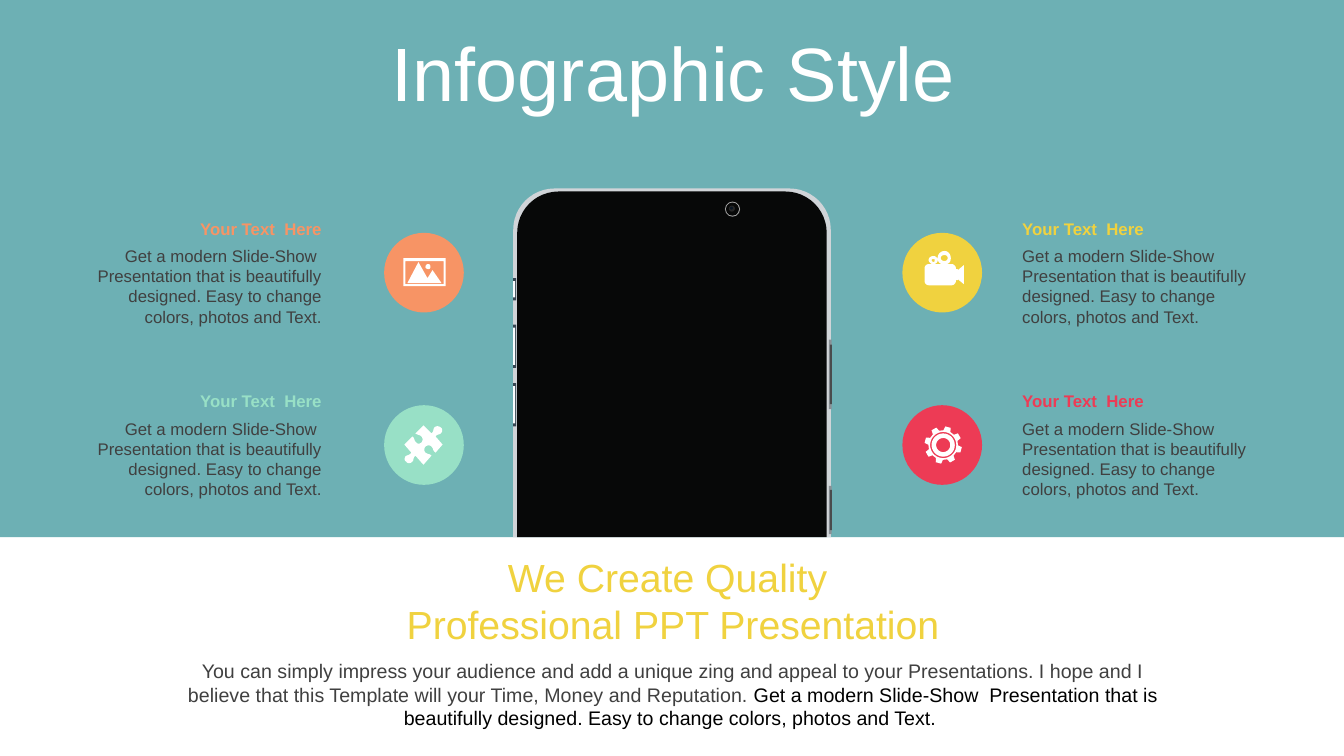
from math import cos, sin, radians

from lxml import etree
from pptx import Presentation
from pptx.dml.color import RGBColor
from pptx.enum.shapes import MSO_SHAPE as Shape
from pptx.enum.text import MSO_ANCHOR as Anchor, MSO_AUTO_SIZE as Fit, PP_ALIGN as Align
from pptx.oxml.ns import qn
from pptx.util import Inches, Pt

COLORS = {
    "teal": "1F878D", "white": "FFFFFF", "black": "000000", "text": "404040",
    "orange": "F79465", "mint": "98E0C6", "yellow": "F0D23F", "red": "ED3B55",
    "frame": "D0D4D8", "screen": "070808", "slot": "364551", "glint": "FAFDFF",
    "key": "8A9096", "key_face": "4A4C4D", "lens_rim": "A6A6A6",
    "lens": "262626", "lens_core": "081422",
}

CARD_TITLE = "Your Text  Here"
CARD_TEXT = ("Get a modern Slide-Show  Presentation that is beautifully designed. "
             "Easy to change colors, photos and Text.")

PHOTO = [
    "44 31, 45 31 46 32 46 34, 46 35 45 36 44 36, 42 36 41 35 41 34, 41 32 42 31 44 31",
    "34 29, 43 45, 48 37, 57 50, 23 50",
    "21 28, 21 51, 59 51, 59 28",
    "19 25, 61 25, 61 53, 19 53",
]
CAMERA = [
    "31 26, 30 26 29 26 29 27, 29 28 30 29 31 29, 32 29 32 28 32 27, 32 26 32 26 31 26",
    "42 22, 40 22 38 23 38 25, 38 27 40 28 42 28, 43 28 45 27 45 25, 45 23 43 22 42 22",
    "42 18, 45 18 48 21 48 25, 48 28 47 30 44 31, 49 31, 51 31 53 33 53 35, 53 36, 54 36, "
    "55 36 55 36 55 37, 61 32, 61 51, 55 46, 55 47 55 47 54 47, 53 47, 53 48, "
    "53 50 51 52 49 52, 26 52, 24 52 22 50 22 48, 22 35, 22 33 24 31 26 31, 29 31, "
    "28 30 26 29 26 27, 26 25 28 23 31 23, 33 23 35 25 35 27, 35 29 34 30 32 31, 39 31, "
    "36 30 35 28 35 25, 35 21 38 18 42 18",
]
PUZZLE = [
    "56 22, 58 23 58 26 57 27, 55 30 53 28 51 31, 58 39, 51 47, 48 45 49 43 47 41, "
    "45 39 42 40 41 41, 40 42 39 45 41 47, 44 49 45 48 47 50, 39 59, 31 50, "
    "28 53 30 54 28 56, 26 58 23 58 22 56, 20 55 20 53 21 51, 23 49 25 50 27 47, "
    "20 39, 28 31, 31 33 29 35 32 37, 33 39 36 38 37 37, 38 36 39 33 37 31, "
    "35 29 34 30 31 28, 39 20, 47 28, 50 25 48 24 50 22, 52 20 55 21 56 22",
]


def color(name):
    return RGBColor.from_string(COLORS[name])


def paint(shape, fill):
    shape.shadow.inherit = False
    shape.fill.solid()
    shape.fill.fore_color.rgb = color(fill)
    shape.line.fill.background()
    return shape


def add_part(page, kind, left, top, width, height, fill):
    shape = page.shapes.add_shape(kind, Inches(left), Inches(top), Inches(width), Inches(height))
    return paint(shape, fill)


def add_text(page, left, top, width, height, paragraphs, size, align,
             bold=False, anchor=Anchor.TOP, fit=Fit.SHAPE_TO_FIT_TEXT):
    box = page.shapes.add_textbox(Inches(left), Inches(top), Inches(width), Inches(height))
    frame = box.text_frame
    frame.word_wrap = True
    frame.auto_size = fit
    frame.vertical_anchor = anchor
    for index, spans in enumerate(paragraphs):
        para = frame.add_paragraph() if index else frame.paragraphs[0]
        para.alignment = align
        para.font.name = "Arial"
        para.font.size = Pt(size)
        para.font.bold = bold
        for words, tone in spans:
            span = para.add_run()
            span.text = words
            span.font.color.rgb = color(tone)
    return frame


def flatten(outline, steps=8):
    points = []
    for segment in outline.split(","):
        numbers = [int(number) for number in segment.split()]
        if len(numbers) == 2:
            points.append(tuple(numbers))
            continue
        x0, y0 = points[-1]
        x1, y1, x2, y2, x3, y3 = numbers
        for step in range(1, steps + 1):
            t = step / steps
            a, b, c, d = (1 - t) ** 3, 3 * t * (1 - t) ** 2, 3 * t * t * (1 - t), t ** 3
            points.append((a * x0 + b * x1 + c * x2 + d * x3,
                           a * y0 + b * y1 + c * y2 + d * y3))
    return points


def polar(radius, angle, center=(40.5, 39.5)):
    turn = radians(angle)
    return center[0] + radius * cos(turn), center[1] + radius * sin(turn)


def gear_contours():
    teeth = [polar(radius, 15 + 45 * tooth + offset) for tooth in range(8)
             for radius, offset in ((14.7, -14), (18.6, -8.5), (18.6, 8.5), (14.7, 14))]
    rings = [[polar(radius, angle) for angle in range(0, 360, 10)] for radius in (13, 11.5, 7)]
    return [teeth] + rings


def draw_icon(page, left, top, contours):
    outlines = [[(Inches(left + x / 100), Inches(top + y / 100)) for x, y in contour]
                for contour in contours]
    builder = page.shapes.build_freeform(*outlines[0][0])
    for index, outline in enumerate(outlines):
        if index:
            builder.move_to(*outline[0])
        builder.add_line_segments(outline[1:], close=True)
    paint(builder.convert_to_shape(), "white")


def draw_band(page, left, top, width, height):
    band = add_part(page, Shape.RECTANGLE, left, top, width, height, "teal")
    tint = band.fill._xPr.find(qn("a:solidFill"))[0]
    etree.SubElement(tint, qn("a:alpha")).set("val", "65000")


def draw_phone(page, left, top):
    for x, y, width, height, fill in ((0, 0, 3.15, 3.46, "frame"),
                                      (0.04, 0.03, 3.07, 3.43, "screen")):
        body = add_part(page, Shape.ROUND_2_SAME_RECTANGLE, left + x, top + y, width, height, fill)
        body.adjustments[0] = 0.41 / width
        body.adjustments[1] = 0
    for y, height in ((0.89, 0.22), (1.35, 0.43), (1.93, 0.43)):
        add_part(page, Shape.RECTANGLE, left, top + y, 0.03, height, "slot")
        add_part(page, Shape.RECTANGLE, left, top + y + 0.03, 0.02, height - 0.06, "glint")
    for y, height, inset in ((1.5, 0.69, 0.05), (2.95, 0.48, 0.04)):
        add_part(page, Shape.RECTANGLE, left + 3.13, top + y, 0.03, height, "key")
        add_part(page, Shape.RECTANGLE, left + 3.14, top + y + inset, 0.02,
                 height - 2 * inset, "key_face")
    for x, y, size, fill in ((2.1, 0.13, 0.15, "lens_rim"), (2.11, 0.14, 0.13, "screen"),
                             (2.14, 0.17, 0.06, "lens"), (2.15, 0.18, 0.03, "lens_core")):
        add_part(page, Shape.OVAL, left + x, top + y, size, size, fill)


def draw_card(page, text_left, circle_left, top, align, tone, contours):
    add_part(page, Shape.OVAL, circle_left, top + 0.19, 0.79, 0.79, tone)
    draw_icon(page, circle_left, top + 0.19, contours)
    add_text(page, text_left, top, 2.64, 0.3, [[(CARD_TITLE, tone)]], 12, align, bold=True)
    add_text(page, text_left, top + 0.27, 2.64, 0.91, [[(CARD_TEXT, "text")]], 12, align)


def draw_footer(page, left, top, width):
    headline = [[("We Create Quality ", "yellow")], [("Professional PPT Presentation", "yellow")]]
    frame = add_text(page, left, top, width, 0.94, headline, 28, Align.CENTER, anchor=Anchor.MIDDLE)
    frame.margin_left = frame.margin_right = Inches(0.04)
    frame.margin_top = frame.margin_bottom = 0
    intro = ("You can simply impress your audience and add a unique zing and appeal to your "
             "Presentations. I hope and I believe that this Template will your Time, Money "
             "and Reputation. ")
    add_text(page, left + 0.71, top + 1, width - 1.42, 0.81,
             [[(intro, "text"), (CARD_TEXT + " ", "black")]], 14, Align.CENTER)


def main():
    deck = Presentation()
    deck.slide_width, deck.slide_height = Inches(13.33), Inches(7.5)
    page = deck.slides.add_slide(deck.slide_layouts[6])
    draw_band(page, 0, 0, 13.33, 5.33)
    draw_phone(page, 5.09, 1.87)
    title = add_text(page, 0.35, 0.37, 12.66, 0.79, [[("Infographic Style", "white")]], 54,
                     Align.CENTER, anchor=Anchor.MIDDLE, fit=Fit.NONE)
    title.paragraphs[0].line_spacing = 0.9
    photo, camera, puzzle = ([flatten(outline) for outline in icon]
                             for icon in (PHOTO, CAMERA, PUZZLE))
    rows = ((2.12, ("orange", photo), ("yellow", camera)),
            (3.83, ("mint", puzzle), ("red", gear_contours())))
    for top, left_card, right_card in rows:
        draw_card(page, 0.65, 3.81, top, Align.RIGHT, *left_card)
        draw_card(page, 10.04, 8.95, top, Align.LEFT, *right_card)
    draw_footer(page, 0.96, 5.49, 11.43)
    deck.save("out.pptx")


if __name__ == "__main__":
    main()
